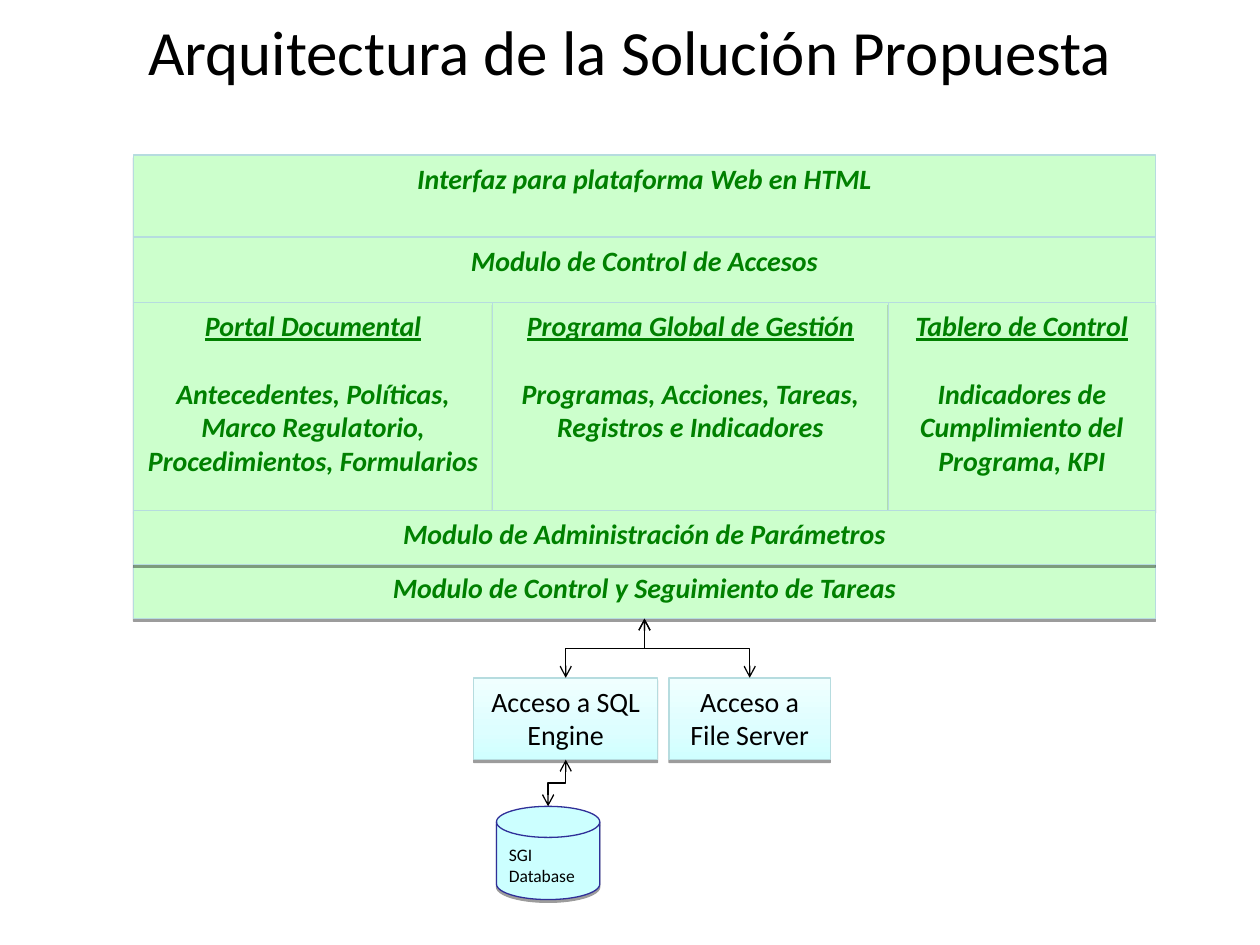
from copy import deepcopy
from itertools import accumulate

from lxml.etree import SubElement
from pptx import Presentation
from pptx.dml.color import RGBColor
from pptx.enum.shapes import MSO_CONNECTOR, MSO_SHAPE
from pptx.enum.text import MSO_ANCHOR, PP_ALIGN
from pptx.oxml.ns import qn
from pptx.util import Inches, Pt

FONT = "Calibri"
BLACK = RGBColor(0x00, 0x00, 0x00)
GREEN = RGBColor(0x00, 0x80, 0x00)
PALE_GREEN = RGBColor(0xCC, 0xFF, 0xCC)
PALE_CYAN = RGBColor(0xCC, 0xFF, 0xFF)
EDGE_BLUE = RGBColor(0xB6, 0xDC, 0xDF)
NAVY = RGBColor(0x2F, 0x2F, 0x98)
ACCESS_GRADIENT = [
    (0, RGBColor(0xCF, 0xFF, 0xFF)),
    (0.35, RGBColor(0xDD, 0xFE, 0xFF)),
    (1, RGBColor(0xF0, 0xFF, 0xFF)),
]

TITLE = "Arquitectura de la Solución Propuesta"

# Each layer: row height and its cells as (width, paragraphs)
STACK_LEFT, STACK_TOP, STACK_WIDTH = 1.06, 1.23, 8.11
LAYERS = [
    (0.65, [(STACK_WIDTH, ["Interfaz para plataforma Web en HTML"])]),
    (0.52, [(STACK_WIDTH, ["Modulo de Control de Accesos"])]),
    (1.65, [
        (2.85, ["Portal Documental",
                "Antecedentes, Políticas, Marco Regulatorio, "
                "Procedimientos, Formularios"]),
        (3.14, ["Programa Global de Gestión",
                "Programas, Acciones, Tareas, Registros e Indicadores"]),
        (2.12, ["Tablero de Control",
                "Indicadores de Cumplimiento del Programa, KPI"]),
    ]),
    (0.43, [(STACK_WIDTH, ["Modulo de Administración de Parámetros"])]),
    (0.43, [(STACK_WIDTH, ["Modulo de Control y Seguimiento de Tareas"])]),
]
DRAW_ORDER = (0, 1, 2, 4, 3)  # the parameters layer casts its shadow on the last

# Each access box: left, width, text
ACCESS_TOP, ACCESS_HEIGHT = 5.38, 0.65
ACCESSES = [
    (3.76, 1.46, "Acceso a SQL Engine"),
    (5.31, 1.28, "Acceso a File Server"),
]
DATABASE_BOX = (3.94, 6.4, 0.82, 0.74)
DATABASE_LABEL = "SGI Database"


def write_text(shape, paragraphs, size=16, color=BLACK, emphasis=False,
               align=PP_ALIGN.CENTER):
    """Fill a shape with text; with several paragraphs the first is a heading."""
    frame = shape.text_frame
    frame.word_wrap = True
    frame.vertical_anchor = MSO_ANCHOR.TOP
    for index, wording in enumerate(paragraphs):
        paragraph = frame.add_paragraph() if index else frame.paragraphs[0]
        paragraph.alignment = align
        if index:
            paragraph.space_before = Pt(size * 1.22)
        run = paragraph.add_run()
        run.text = wording
        font = run.font
        font.name, font.size, font.color.rgb = FONT, Pt(size), color
        font.bold = font.italic = emphasis
        font.underline = index == 0 and len(paragraphs) > 1


def add_block(slide, box, kind=MSO_SHAPE.RECTANGLE, fill=None, edge=EDGE_BLUE):
    """Add a shape with a thin edge and a hard shadow just below it."""
    block = slide.shapes.add_shape(kind, *map(Inches, box))
    if fill is not None:
        block.fill.solid()
        block.fill.fore_color.rgb = fill
    block.line.color.rgb = edge
    block.line.width = Pt(0.75)
    block.shadow.inherit = False
    effects = block.element.spPr.find(qn("a:effectLst"))
    shadow = SubElement(effects, qn("a:outerShdw"), blurRad="0",
                        dist=str(Pt(1.6)), dir="5400000", rotWithShape="0")
    shade = SubElement(shadow, qn("a:srgbClr"), val="000000")
    SubElement(shade, qn("a:alpha"), val="38000")
    return block


def apply_gradient(block, stops):
    block.fill.gradient()
    block.fill.gradient_angle = 90
    stop_list = block.element.spPr.find(".//" + qn("a:gsLst"))
    while len(stop_list) < len(stops):
        stop_list.append(deepcopy(stop_list[-1]))
    for stop, (position, color) in zip(block.fill.gradient_stops, stops):
        stop.position = position
        stop.color.rgb = color


def add_link(slide, upper, lower):
    """Elbow that leaves and arrives vertically: a quarter-turned connector."""
    (x1, y1), (x2, y2) = upper, lower
    center_x, center_y = (x1 + x2) / 2, (y1 + y2) / 2
    half_run, half_drop = (x2 - x1) / 2, (y2 - y1) / 2
    link = slide.shapes.add_connector(
        MSO_CONNECTOR.ELBOW,
        Inches(center_x - half_drop), Inches(center_y + half_run),
        Inches(center_x + half_drop), Inches(center_y - half_run))
    link.line.color.rgb = BLACK
    link.line.width = Pt(0.75)
    properties = link.element.spPr
    properties.find(qn("a:xfrm")).set("rot", "5400000")
    outline = properties.find(qn("a:ln"))
    for end in ("a:headEnd", "a:tailEnd"):
        SubElement(outline, qn(end), type="arrow")
    SubElement(properties, qn("a:effectLst"))


def main():
    deck = Presentation()
    deck.slide_width, deck.slide_height = Inches(10), Inches(7.5)
    slide = deck.slides.add_slide(deck.slide_layouts[6])

    title = slide.shapes.add_textbox(*map(Inches, (0.5, 0.05, 9, 1.25)))
    write_text(title, [TITLE], size=36)

    layer_tops = list(accumulate((height for height, _ in LAYERS),
                                 initial=STACK_TOP))
    for row in DRAW_ORDER:
        height, cells = LAYERS[row]
        left = STACK_LEFT
        for width, paragraphs in cells:
            layer = add_block(slide, (left, layer_tops[row], width, height),
                              fill=PALE_GREEN)
            write_text(layer, paragraphs, color=GREEN, emphasis=True)
            left += width

    stack_foot = (STACK_LEFT + STACK_WIDTH / 2, layer_tops[-1])
    for left, width, label in ACCESSES:
        access = add_block(slide, (left, ACCESS_TOP, width, ACCESS_HEIGHT))
        apply_gradient(access, ACCESS_GRADIENT)
        write_text(access, [label])
        add_link(slide, stack_foot, (left + width / 2, ACCESS_TOP))

    database = add_block(slide, DATABASE_BOX, fill=PALE_CYAN, edge=NAVY,
                         kind=MSO_SHAPE.FLOWCHART_MAGNETIC_DISK)
    write_text(database, [DATABASE_LABEL], size=10, align=PP_ALIGN.LEFT)
    sql_left, sql_width, _ = ACCESSES[0]
    disk_left, disk_top, disk_width, _ = DATABASE_BOX
    add_link(slide, (sql_left + sql_width / 2, ACCESS_TOP + ACCESS_HEIGHT),
             (disk_left + disk_width / 2, disk_top))

    deck.save("out.pptx")


if __name__ == "__main__":
    main()
